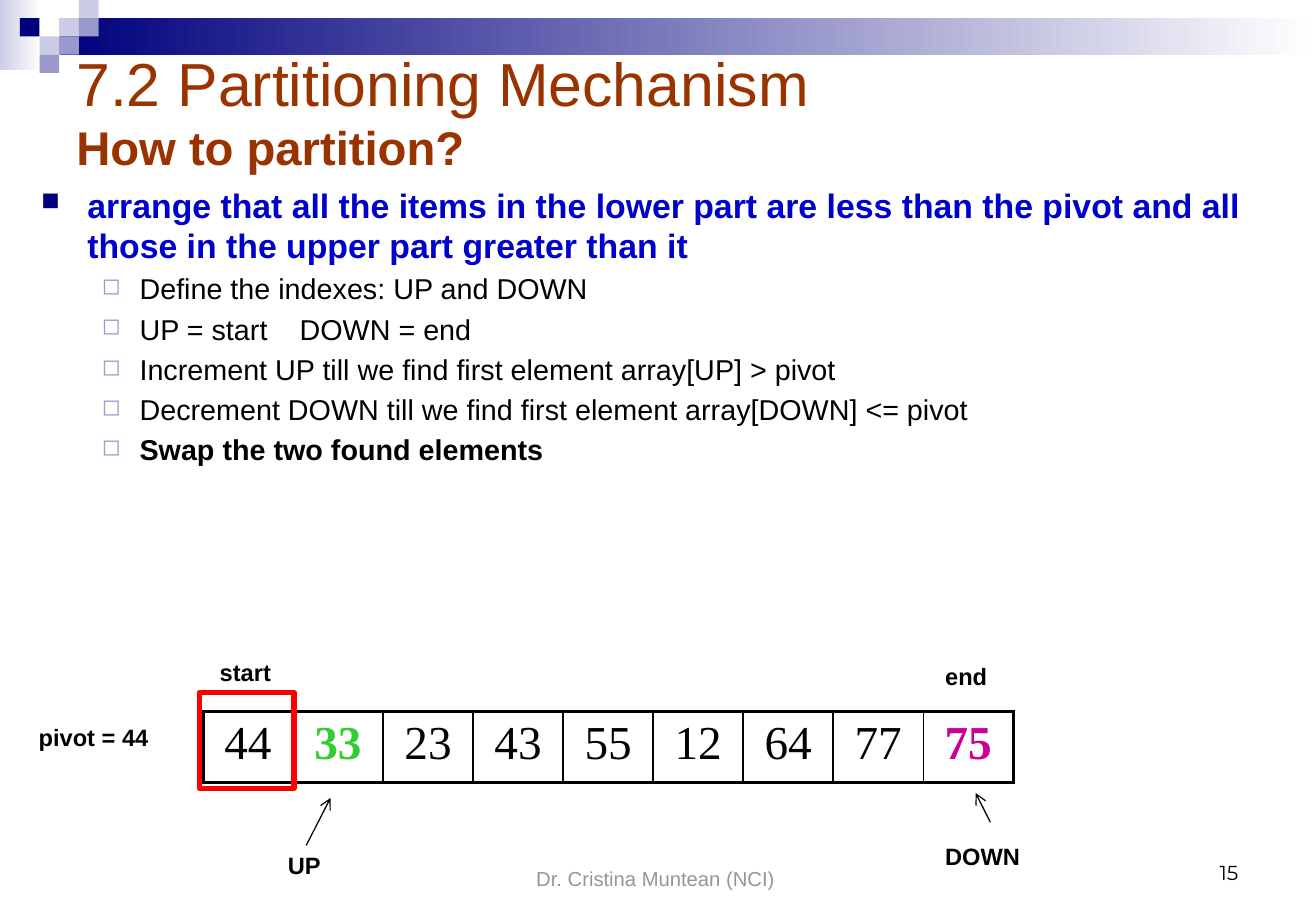
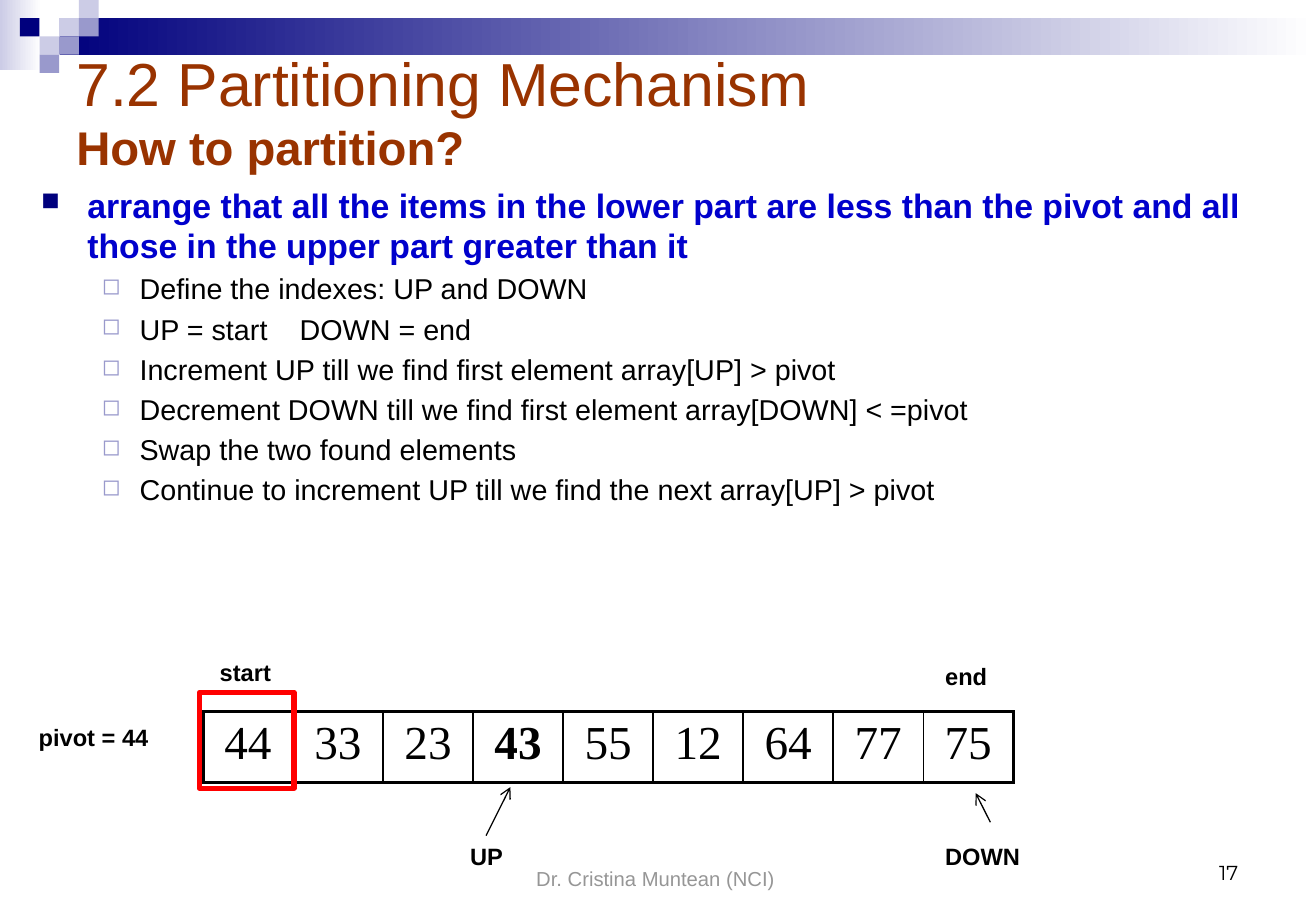
from lxml import etree
from pptx import Presentation
from pptx.dml.color import RGBColor
from pptx.enum.shapes import MSO_CONNECTOR, MSO_SHAPE
from pptx.enum.text import MSO_ANCHOR, PP_ALIGN
from pptx.oxml.ns import qn
from pptx.util import Inches, Pt

RECTANGLE = MSO_SHAPE.RECTANGLE
STRAIGHT = MSO_CONNECTOR.STRAIGHT
TOP, MIDDLE, BOTTOM = MSO_ANCHOR.TOP, MSO_ANCHOR.MIDDLE, MSO_ANCHOR.BOTTOM
LEFT, CENTER, RIGHT = PP_ALIGN.LEFT, PP_ALIGN.CENTER, PP_ALIGN.RIGHT

BLACK = RGBColor(0x00, 0x00, 0x00)
WHITE = RGBColor(0xFF, 0xFF, 0xFF)
NAVY = RGBColor(0x00, 0x00, 0x7D)
LAVENDER = RGBColor(0x99, 0x99, 0xCC)
PALE = RGBColor(0xCC, 0xCC, 0xE6)
BROWN = RGBColor(0x99, 0x33, 0x00)
BLUE = RGBColor(0x00, 0x00, 0xCC)
GRAY = RGBColor(0x96, 0x96, 0x96)
RED = RGBColor(0xFF, 0x00, 0x00)
GREEN = RGBColor(0x33, 0xCC, 0x33)
MAGENTA = RGBColor(0xCC, 0x00, 0x99)

# Bullet per level: character, colour, size in percent, text indent, hanging
BULLETS = [("\u25a0", NAVY, 75, 0.38, 0.38), ("\u25fb", LAVENDER, 80, 0.81, 0.31)]

# Header squares: column, row, colour
SQUARES = [(3, 1, PALE), (4, 0, PALE), (4, 1, LAVENDER), (2, 2, PALE),
           (1, 1, NAVY), (3, 2, LAVENDER), (2, 3, LAVENDER)]
SQUARE_WIDTH, SQUARE_HEIGHT = 0.65 / 4, 0.15


def add_xml(parent, tag, **attributes):
    return etree.SubElement(parent, qn(tag), attributes)


class Deck:
    def __init__(self):
        self.presentation = Presentation()
        self.presentation.slide_width = Inches(10.83)
        self.presentation.slide_height = Inches(7.5)
        self.slide = None

    def add_slide(self, number):
        self.slide = self.presentation.slides.add_slide(self.presentation.slide_layouts[6])
        # Header band
        self.rectangle(0, 0, 0.34, 0.58, [PALE, WHITE])
        self.rectangle(0.49, 0.15, 10.34, 0.3, [NAVY, WHITE])
        for column, row, color in SQUARES:
            self.rectangle(column * SQUARE_WIDTH, row * SQUARE_HEIGHT,
                           SQUARE_WIDTH, SQUARE_HEIGHT, [color])
        # Footer
        author = self.text_box(3.68, 6.88, 3.43, 0.5, BOTTOM, CENTER)
        self.run(author, "Dr. Cristina Muntean (NCI)", 12, GRAY)
        page = self.text_box(7.76, 6.83, 2.53, 0.5, BOTTOM, RIGHT)
        self.run(page, number, 12, font="Montserrat")

    def rectangle(self, left, top, width, height, fills=(), outline=None):
        shape = self.slide.shapes.add_shape(
            RECTANGLE, Inches(left), Inches(top), Inches(width), Inches(height))
        shape.shadow.inherit = False
        if len(fills) == 2:
            shape.fill.gradient()
            shape.fill.gradient_angle = 0
            for stop, color, position in zip(shape.fill.gradient_stops, fills, (0, 1)):
                stop.color.rgb = color
                stop.position = position
        elif fills:
            shape.fill.solid()
            shape.fill.fore_color.rgb = fills[0]
        else:
            shape.fill.background()
        if outline:
            shape.line.color.rgb = outline
            shape.line.width = Pt(3)
        else:
            shape.line.fill.background()

    def text_box(self, left, top, width, height, anchor=TOP, alignment=LEFT, bottom=0.05):
        shape = self.slide.shapes.add_textbox(
            Inches(left), Inches(top), Inches(width), Inches(height))
        frame = shape.text_frame
        frame.word_wrap = True
        frame.vertical_anchor = anchor
        frame.margin_bottom = Inches(bottom)
        frame.paragraphs[0].alignment = alignment
        return frame.paragraphs[0]

    def run(self, paragraph, text, size, color=BLACK, bold=False, font="Arial"):
        run = paragraph.add_run()
        run.text = text
        run.font.name = font
        run.font.size = Pt(size)
        run.font.bold = bold
        run.font.color.rgb = color
        return run

    def space_before(self, paragraph):
        properties = paragraph._p.get_or_add_pPr()
        add_xml(add_xml(properties, "a:spcBef"), "a:spcPct", val="20000")
        return properties

    def title(self, heading, subheading):
        paragraph = self.text_box(0.53, 0.44, 9.75, 1.34, MIDDLE, bottom=0.45)
        self.run(paragraph, heading, 36, BROWN)
        paragraph.add_line_break()
        self.run(paragraph, subheading, 28, BROWN, True)

    def bullet(self, paragraph, level):
        character, color, size, indent, hanging = BULLETS[level]
        paragraph.level = level
        properties = self.space_before(paragraph)
        properties.set("marL", str(Inches(indent)))
        properties.set("indent", str(-Inches(hanging)))
        add_xml(add_xml(properties, "a:buClr"), "a:srgbClr", val=str(color))
        add_xml(properties, "a:buSzPct", val=str(size * 1000))
        add_xml(properties, "a:buChar", char=character)

    def bullets(self, height, lead, steps, bold_step):
        paragraph = self.text_box(0.24, 1.47, 10.31, height)
        frame = paragraph._parent
        self.bullet(paragraph, 0)
        self.run(paragraph, lead, 20, BLUE, True)
        for step in steps:
            paragraph = frame.add_paragraph()
            self.bullet(paragraph, 1)
            # A tuple holds two parts set apart by one widened space
            parts = step if isinstance(step, tuple) else (step,)
            for index, part in enumerate(parts):
                if index:
                    gap = self.run(paragraph, " ", 17)
                    gap.font._element.set("spc", "1420")
                self.run(paragraph, part, 17, bold=step == bold_step)

    def array(self, values, highlights):
        count = len(values)
        table_frame = self.slide.shapes.add_table(
            1, count, Inches(1.67), Inches(5.86), Inches(6.67), Inches(0.58))
        table = table_frame.table
        table.first_row = table.horz_banding = False
        for index, value in enumerate(values):
            cell = table.cell(0, index)
            paragraph = cell.text_frame.paragraphs[0]
            paragraph.alignment = CENTER
            self.space_before(paragraph)
            self.run(paragraph, str(value), 28, highlights.get(value, BLACK),
                     value in highlights, "Times New Roman")
            properties = cell._tc.get_or_add_tcPr()
            widths = {"a:lnL": 1 if index else 2.25,
                      "a:lnR": 1 if index < count - 1 else 2.25,
                      "a:lnT": 2.25, "a:lnB": 2.25}
            for tag, width in widths.items():
                border = add_xml(properties, tag, w=str(Pt(width)))
                add_xml(add_xml(border, "a:solidFill"), "a:srgbClr", val=str(BLACK))
            cell.fill.background()

    def label(self, text, left, top, width=0.7):
        self.run(self.text_box(left, top, width, 0.34), text, 14, bold=True)

    def arrow(self, start_x, start_y, end_x, end_y):
        connector = self.slide.shapes.add_connector(
            STRAIGHT, Inches(start_x), Inches(start_y), Inches(end_x), Inches(end_y))
        connector.line.color.rgb = BLACK
        connector.line.width = Pt(0.75)
        properties = connector._element.spPr
        add_xml(properties.find(qn("a:ln")), "a:tailEnd", type="arrow")
        add_xml(properties, "a:effectLst")

    def partition_slide(self, number, height, steps, bold_step, highlights, up_label, up_arrow):
        self.add_slide(number)
        self.title("7.2 Partitioning Mechanism", "How to partition?")
        # Array with its pivot and indexes
        self.array([44, 33, 23, 43, 55, 12, 64, 77, 75], highlights)
        self.label("start", 1.71, 5.37)
        self.arrow(*up_arrow)
        self.arrow(8.15, 6.77, 8.03, 6.53)
        self.rectangle(1.64, 5.7, 0.78, 0.79, outline=RED)
        self.label("pivot = 44", 0.22, 5.9, 1.34)
        # Steps
        self.bullets(height, "arrange that all the items in the lower part are less than "
                     "the pivot and all those in the upper part greater than it",
                     steps, bold_step)
        self.label("UP", *up_label)
        self.label("end", 7.68, 5.4)
        self.label("DOWN", 7.68, 6.88, 0.97)


FIRST_STEPS = ["Define the indexes: UP and DOWN",
               ("UP = start", "DOWN = end"),
               "Increment UP till we find first element array[UP] > pivot"]
DECREMENT = "Decrement DOWN till we find first element array[DOWN] "
SWAP = "Swap the two found elements"

deck = Deck()
deck.partition_slide("15", 2.68, FIRST_STEPS + [DECREMENT + "<= pivot", SWAP], SWAP,
                     {33: GREEN, 75: MAGENTA}, (2.27, 6.96), (2.52, 6.96, 2.72, 6.57))
deck.partition_slide("17", 3.23, FIRST_STEPS + [
    DECREMENT + "< =pivot", SWAP,
    "Continue to increment UP till we find the next array[UP] > pivot"], None,
    {43: BLACK}, (3.77, 6.88), (4, 6.88, 4.2, 6.48))
deck.presentation.save("out.pptx")
